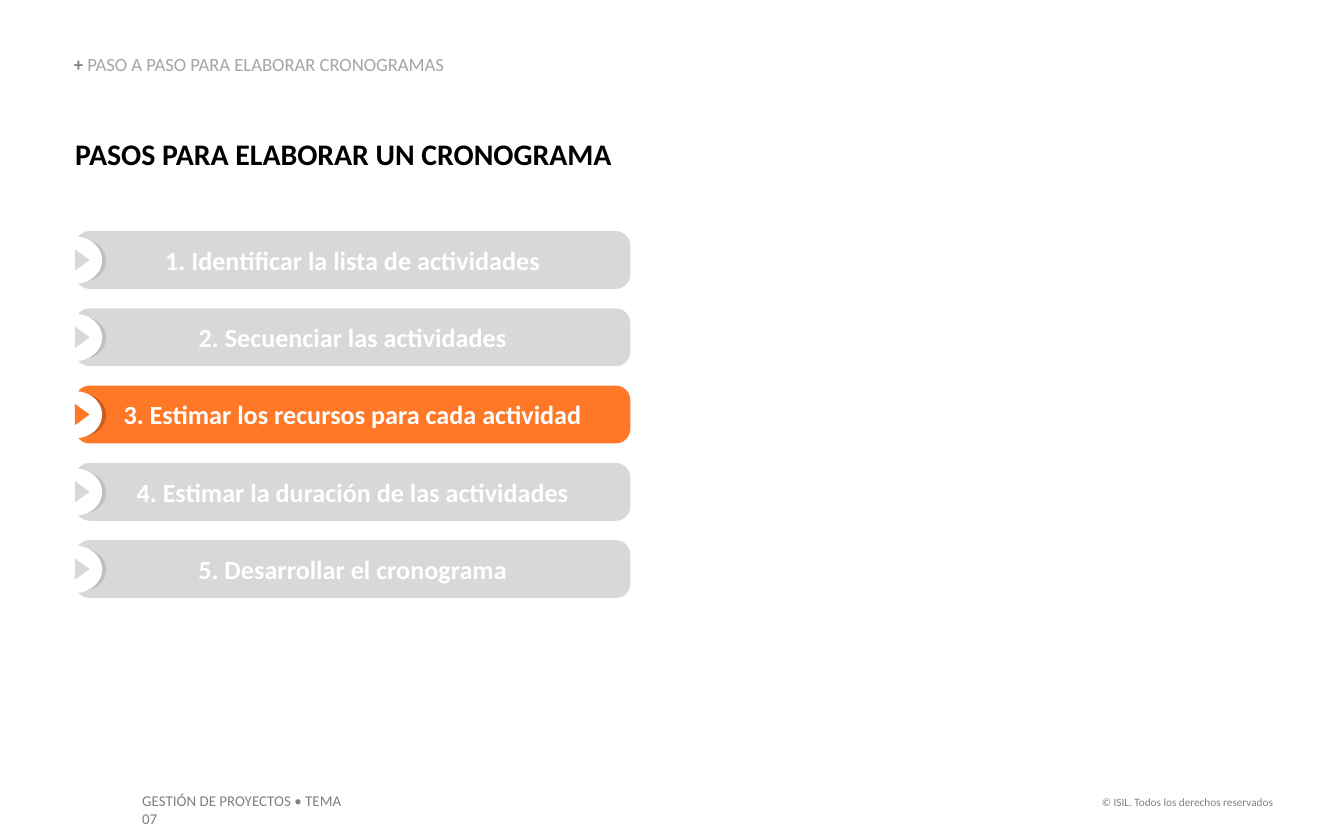
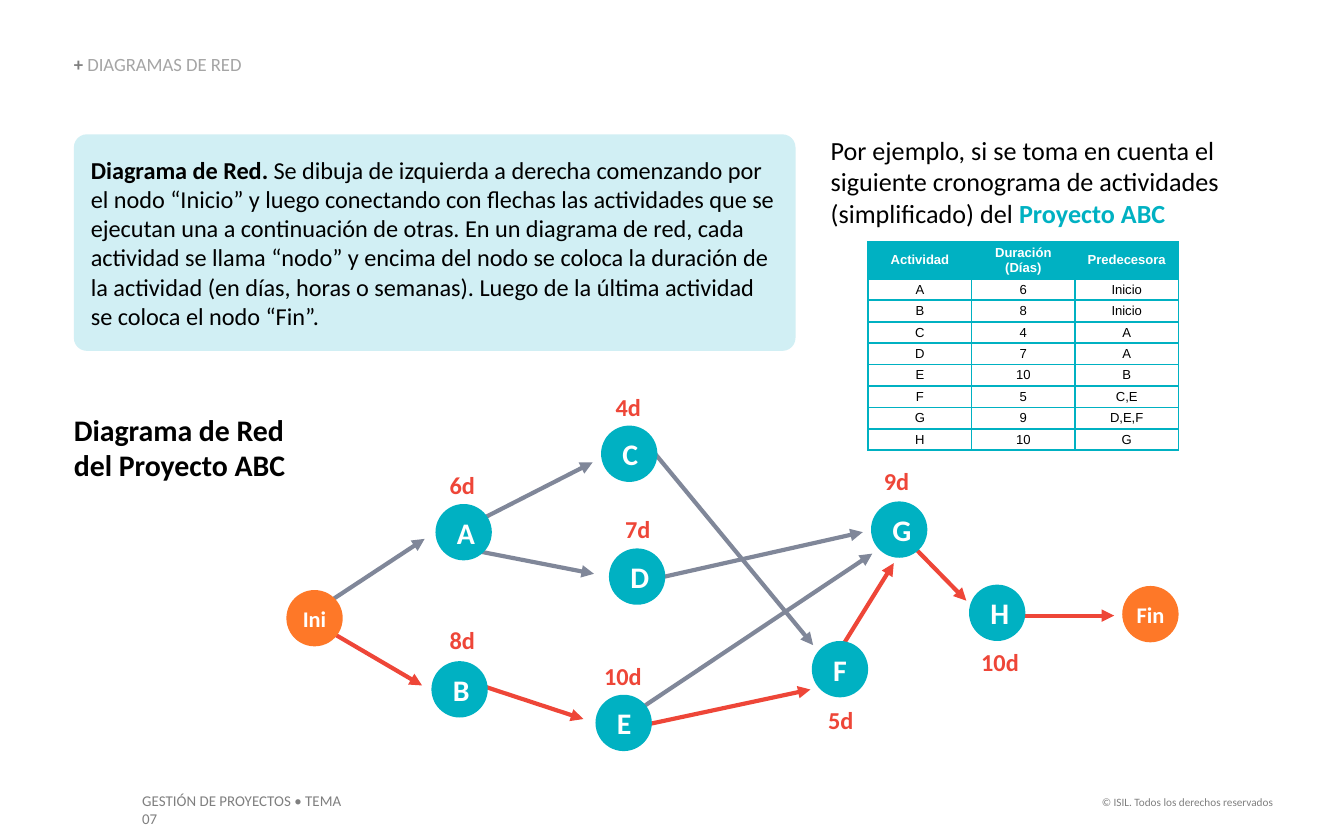
"""Build two slides on drawing up a project schedule."""
from dataclasses import dataclass

from lxml import etree
from pptx import Presentation
from pptx import util as u
from pptx.dml.color import RGBColor
from pptx.enum import shapes, text
from pptx.oxml.ns import qn


@dataclass(frozen=True)
class Theme:
    """Colours, fonts and type sizes of the deck."""
    black: str = "000000"
    white: str = "FFFFFF"
    grey: str = "7F7F7F"
    crumb: str = "A5A5A5"
    bar: str = "D8D8D8"
    bar_shade: str = "BFBFBF"
    orange: str = "FE7828"
    orange_shade: str = "C85D1F"
    teal: str = "00B1C2"
    pale_teal: str = "D1EFF4"
    red: str = "EE4638"
    slate: str = "808799"
    font: str = "Calibri"
    table_font: str = "Arial"
    copyright: int = 6
    table: int = 7
    footer: int = 8
    title: int = 10
    terminal: int = 12
    body: int = 13
    step: int = 14
    heading: int = 16


THEME = Theme()
NO_INSETS = (0, 0, 0, 0)
INSETS = (7.2, 3.6, 7.2, 3.6)
LEFT, CENTER, RIGHT = text.PP_ALIGN.LEFT, text.PP_ALIGN.CENTER, text.PP_ALIGN.RIGHT
TOP, MIDDLE, BOTTOM = text.MSO_ANCHOR.TOP, text.MSO_ANCHOR.MIDDLE, text.MSO_ANCHOR.BOTTOM
SHAPE = shapes.MSO_SHAPE

STEPS = ("Identificar la lista de actividades", "Secuenciar las actividades",
         "Estimar los recursos para cada actividad",
         "Estimar la duración de las actividades", "Desarrollar el cronograma")
CURRENT_STEP = 3

ACTIVITIES = (("Actividad", "Duración (Días)", "Predecesora"),
              ("A", "6", "Inicio"), ("B", "8", "Inicio"), ("C", "4", "A"),
              ("D", "7", "A"), ("E", "10", "B"), ("F", "5", "C,E"),
              ("G", "9", "D,E,F"), ("H", "10", "G"))

NODE_SIZE = 30.2
NODES = {"C": (169, 25), "A": (80.3, 67), "D": (173.2, 90.8), "B": (78.1, 151.2),
         "E": (166, 169.2), "F": (281.9, 140.4), "G": (313.6, 65.6),
         "H": (366.1, 110.2), "Ini": (0.4, 113.1), "Fin": (448.2, 110.9)}
DURATIONS = (("6d", 80.3, 42.5, 28.8), ("4d", 169.6, 0.8, 28), ("7d", 174.6, 66.3, 28),
             ("9d", 314.3, 40.4, 26), ("8d", 80.3, 126, 28.8), ("10d", 166.7, 144.8, 28),
             ("5d", 268.9, 168.5, 57), ("10d", 369.7, 137.6, 26))
CRITICAL_ARROWS = ((22.7, 134.7, 73.1, 164.2), (102.6, 163.5, 159.5, 182.2),
                   (190.4, 185.8, 281.2, 166.4), (297.7, 144, 325.8, 98.7),
                   (332.3, 85.7, 364.7, 118.8), (387.7, 126.8, 443.9, 126.8))
OTHER_ARROWS = ((19.8, 121.7, 74.5, 85.7), (104, 75.6, 164.5, 44.7),
                (99, 91.5, 165.2, 104.4), (190.4, 176.4, 314.3, 93.6),
                (196.9, 107.3, 309.2, 82.1), (194, 35.3, 282.6, 142.6))


def apply(target, values):
    """Set each named attribute of the target."""
    for key, value in values.items():
        setattr(target, key, value)


def points(*lengths):
    """Convert numbers to lengths in points."""
    return [u.Pt(length) for length in lengths]


def paint(fill, colour):
    """Make a fill solid in the given colour."""
    fill.solid()
    fill.fore_color.rgb = RGBColor.from_string(colour)


def write(frame, runs, size, align=LEFT, anchor=TOP, insets=NO_INSETS,
          font=THEME.font, spacing=None):
    """Fill a text frame with one paragraph of (text, colour, bold) runs."""
    sides = ("margin_left", "margin_top", "margin_right", "margin_bottom")
    apply(frame, {"word_wrap": True, "auto_size": text.MSO_AUTO_SIZE.NONE,
                  "vertical_anchor": anchor, **dict(zip(sides, points(*insets)))})
    paragraph = frame.paragraphs[0]
    apply(paragraph, {"alignment": align, "line_spacing": spacing})
    for words, colour, bold in runs:
        run = paragraph.add_run()
        run.text = words
        apply(run.font, {"name": font, "size": u.Pt(size), "bold": bold})
        run.font.color.rgb = RGBColor.from_string(colour)


def add_text(slide, box, runs, size, **layout):
    """Add a text box."""
    write(slide.shapes.add_textbox(*points(*box)).text_frame, runs, size, **layout)


def add_solid(parent, kind, box, colour):
    """Add a flat preset shape without outline."""
    solid = parent.shapes.add_shape(kind, *points(*box))
    solid.shadow.inherit = False
    paint(solid.fill, colour)
    solid.line.fill.background()
    return solid


def add_arrow(parent, ends, colour):
    """Add a straight arrow between two points."""
    arrow = parent.shapes.add_connector(shapes.MSO_CONNECTOR.STRAIGHT, *points(*ends))
    arrow.line.width = u.Pt(2.25)
    paint(arrow.line.fill, colour)
    properties = arrow.element.find(qn("p:spPr"))
    etree.SubElement(properties.find(qn("a:ln")), qn("a:tailEnd"), type="triangle")
    etree.SubElement(properties, qn("a:effectLst"))


def add_page(deck, title):
    """Add a slide with its section title and footers."""
    slide = deck.slides.add_slide(deck.slide_layouts[5])
    apply(slide.shapes.title, dict(zip(("left", "top", "width", "height"),
                                       points(39.6, 29.5, 240.5, 10.8))))
    write(slide.shapes.title.text_frame,
          [("+ ", THEME.grey, True), (title, THEME.crumb, False)],
          THEME.title, anchor=BOTTOM, spacing=0.9)
    add_text(slide, (569.5, 422.6, 119.5, 14.4),
             [("© ISIL. Todos los derechos reservados", THEME.grey, False)],
             THEME.copyright, align=RIGHT, insets=INSETS)
    add_text(slide, (69.1, 420.5, 136.8, 17.3),
             [("GESTIÓN DE PROYECTOS • TEMA 07", THEME.grey, False)],
             THEME.footer, insets=(7.2, 3.6, 18, 3.6))
    return slide


def add_step(slide, box, words, colour, shade):
    """Add one step bar with its notch and pointer."""
    left, top, _, _ = box
    step = slide.shapes.add_group_shape()
    bar = add_solid(step, SHAPE.ROUNDED_RECTANGLE, box, colour)
    bar.adjustments[0] = 0.25
    write(bar.text_frame, [(words, THEME.white, True)], THEME.step,
          align=CENTER, anchor=MIDDLE, insets=INSETS)
    add_solid(step, SHAPE.OVAL, (left - 10, top + 4.3, 26.6, 23), shade)
    add_solid(step, SHAPE.OVAL, (left - 14.4, top + 3, 28.8, 25.2), THEME.white)
    pointer = add_solid(step, SHAPE.ISOSCELES_TRIANGLE,
                        (left - 2, top + 11.5, 11.5, 8), colour)
    pointer.rotation = 90


def add_steps(slide, box, pitch):
    """Stack the step bars, with the current one highlighted."""
    left, top, width, height = box
    for number, name in enumerate(STEPS, 1):
        colours = ((THEME.orange, THEME.orange_shade) if number == CURRENT_STEP
                   else (THEME.bar, THEME.bar_shade))
        add_step(slide, (left, top + (number - 1) * pitch, width, height),
                 f"{number}. {name}", *colours)


def add_definition(slide, box):
    """Add the panel that defines a network diagram."""
    panel = add_solid(slide, SHAPE.ROUNDED_RECTANGLE, box, THEME.pale_teal)
    panel.adjustments[0] = 0.06
    write(panel.text_frame, [
        ("Diagrama de Red.", THEME.black, True),
        (" Se dibuja de izquierda a derecha comenzando por el nodo “Inicio” y luego "
         "conectando con flechas las actividades que se ejecutan una a continuación de "
         "otras. En un diagrama de red, cada actividad se llama “nodo” y encima del nodo "
         "se coloca la duración de la actividad (en días, horas o semanas). Luego de la "
         "última actividad se coloca el nodo “Fin”.", THEME.black, False),
    ], THEME.body, anchor=MIDDLE, insets=INSETS)


def add_borders(cell, colour):
    """Outline a table cell on all four sides."""
    properties = cell._tc.get_or_add_tcPr()
    for index, side in enumerate(("lnL", "lnR", "lnT", "lnB")):
        border = etree.Element(qn(f"a:{side}"), w=str(u.Pt(1)))
        fill = etree.SubElement(border, qn("a:solidFill"))
        etree.SubElement(fill, qn("a:srgbClr"), val=colour)
        properties.insert(index, border)


def add_activities(slide, box, header_height):
    """Add the table of activities, durations and predecessors."""
    height = box[3]
    table = slide.shapes.add_table(len(ACTIVITIES), len(ACTIVITIES[0]), *points(*box)).table
    row_height = (height - header_height) / (len(ACTIVITIES) - 1)
    for index, values in enumerate(ACTIVITIES):
        header = index == 0
        table.rows[index].height = u.Pt(header_height if header else row_height)
        for cell, value in zip(table.rows[index].cells, values):
            paint(cell.fill, THEME.teal if header else THEME.white)
            add_borders(cell, THEME.teal)
            apply(cell, {"vertical_anchor": MIDDLE,
                         "margin_left": u.Pt(2.9), "margin_right": u.Pt(2.9),
                         "margin_top": u.Pt(1.4), "margin_bottom": u.Pt(1.4)})
            paragraph = cell.text_frame.paragraphs[0]
            paragraph.alignment = CENTER
            run = paragraph.add_run()
            run.text = value
            apply(run.font, {"name": THEME.table_font, "size": u.Pt(THEME.table),
                             "bold": header})
            run.font.color.rgb = RGBColor.from_string(
                THEME.white if header else THEME.black)


def add_network(slide, left, top):
    """Draw durations, arrows and nodes of the project network."""
    network = slide.shapes.add_group_shape()
    for words, x, y, width in DURATIONS:
        duration = add_solid(network, SHAPE.RECTANGLE, (left + x, top + y, width, 28),
                             THEME.white)
        paint(duration.line.fill, THEME.white)
        duration.line.width = u.Pt(2)
        write(duration.text_frame, [(words, THEME.red, True)], THEME.body,
              align=CENTER, anchor=MIDDLE)
    for arrows, colour in ((CRITICAL_ARROWS, THEME.red), (OTHER_ARROWS, THEME.slate)):
        for x1, y1, x2, y2 in arrows:
            add_arrow(network, (left + x1, top + y1, left + x2, top + y2), colour)
    for name, (x, y) in NODES.items():
        terminal = name in ("Ini", "Fin")
        node = add_solid(network, SHAPE.OVAL, (left + x, top + y, NODE_SIZE, NODE_SIZE),
                         THEME.orange if terminal else THEME.teal)
        write(node.text_frame, [(name, THEME.white, True)],
              THEME.terminal if terminal else THEME.heading, align=CENTER,
              anchor=MIDDLE, insets=NO_INSETS if terminal else INSETS)


def build_steps_slide(deck):
    """Build the slide that lists the steps."""
    slide = add_page(deck, "PASO A PASO PARA ELABORAR CRONOGRAMAS")
    add_text(slide, (40.3, 72.7, 579.6, 19.4),
             [("PASOS PARA ELABORAR UN CRONOGRAMA", THEME.black, True)], THEME.heading)
    add_steps(slide, (40.3, 123.8, 297.4, 31), 41.4)


def build_network_slide(deck):
    """Build the slide that explains the network diagram."""
    slide = add_page(deck, "DIAGRAMAS DE RED")
    add_text(slide, (445, 72, 213, 51),
             [("Por ejemplo, si se toma en cuenta el siguiente cronograma de actividades "
               "(simplificado) del ", THEME.black, False),
              ("Proyecto ABC", THEME.teal, True)], THEME.step)
    add_text(slide, (39.6, 220.3, 132.5, 38.9),
             [("Diagrama de Red del Proyecto ABC", THEME.black, True)], THEME.heading)
    add_definition(slide, (39.6, 72, 386.6, 116))
    add_activities(slide, (465.1, 129.6, 166.2, 111.8), 19.8)
    add_network(slide, 153, 203)


def main():
    """Build and save the deck."""
    deck = Presentation()
    apply(deck, {"slide_width": u.Pt(720), "slide_height": u.Pt(450)})
    build_steps_slide(deck)
    build_network_slide(deck)
    deck.save("out.pptx")


if __name__ == "__main__":
    main()
